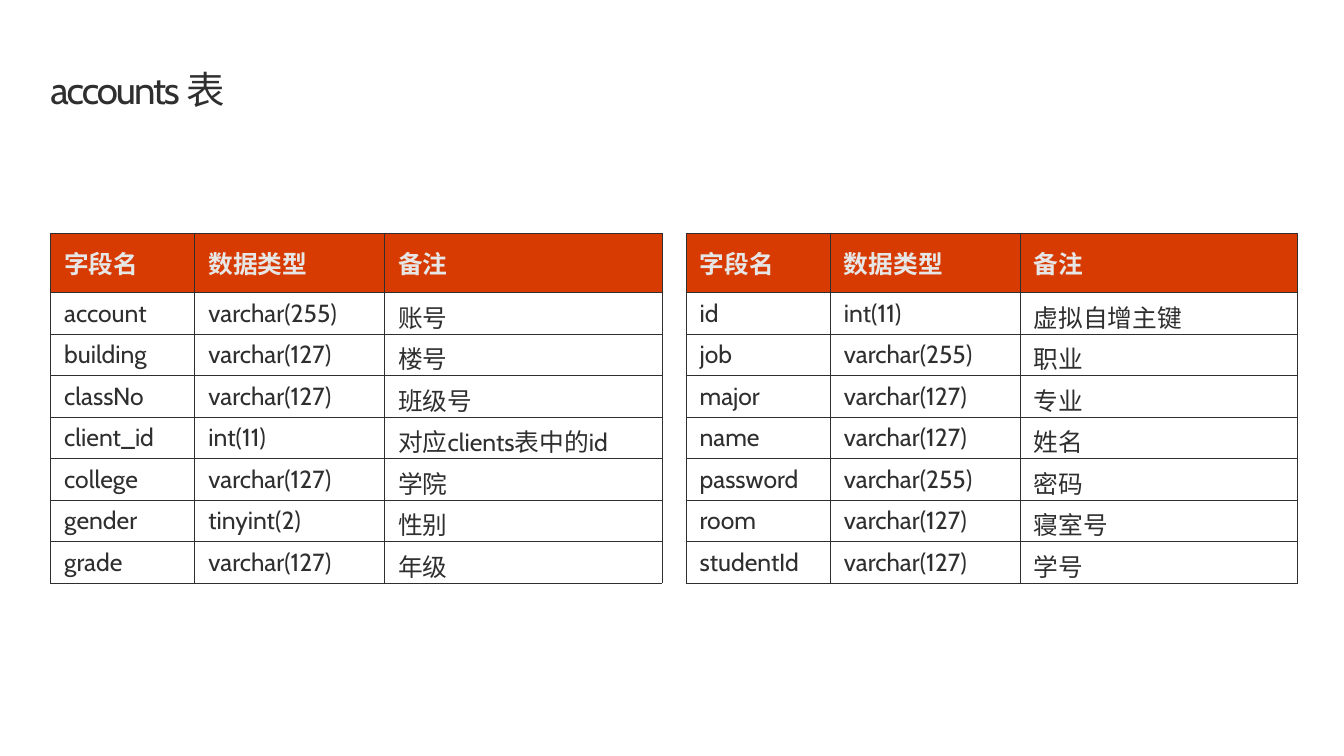
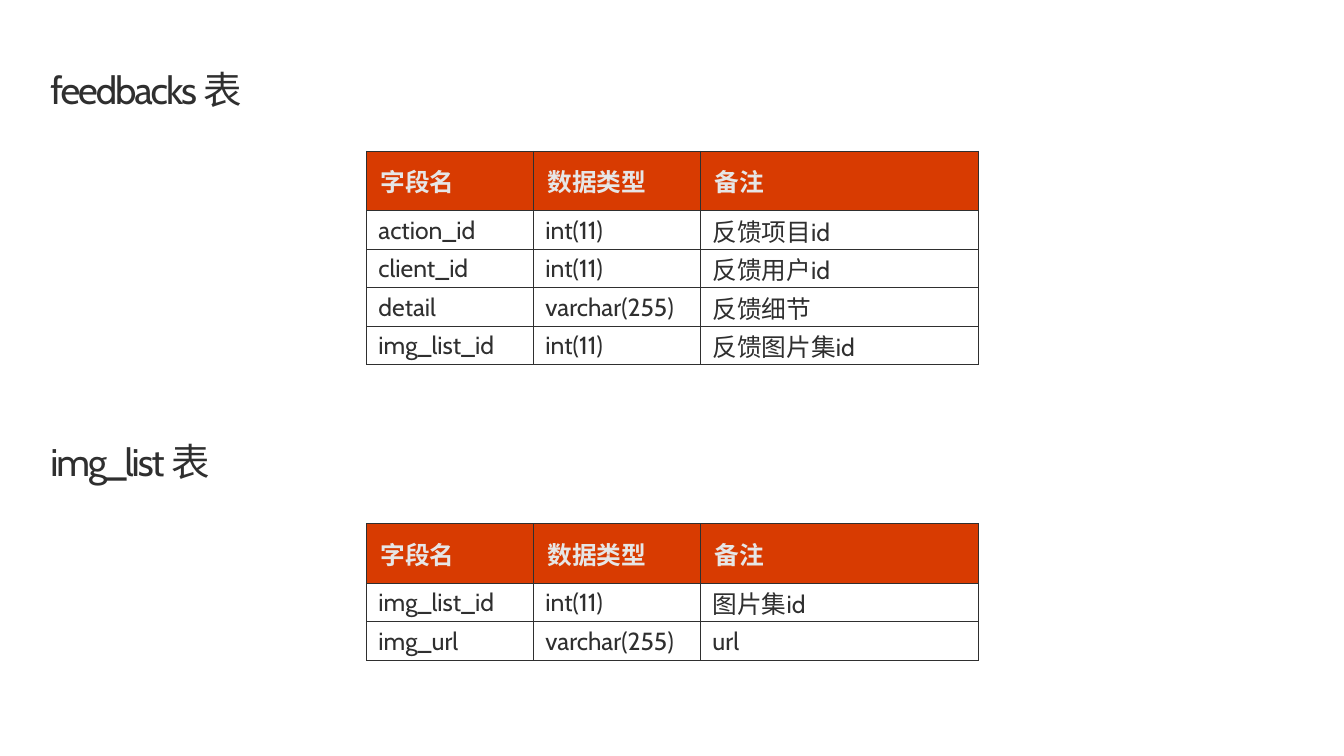
from lxml import etree
from pptx import Presentation
from pptx.dml.color import RGBColor
from pptx.enum.text import MSO_ANCHOR, MSO_AUTO_SIZE
from pptx.oxml.ns import qn
from pptx.util import Pt

PX = 9144  # 100 px to the inch
MIDDLE = MSO_ANCHOR.MIDDLE
GROW = MSO_AUTO_SIZE.SHAPE_TO_FIT_TEXT
INK = RGBColor(0x2F, 0x2F, 0x2F)
PALE = RGBColor(0xE6, 0xE6, 0xE6)
ORANGE = RGBColor(0xD8, 0x3B, 0x01)

HEAD = ("字段名", "数据类型", "备注")
USERS = [
    ("account", "varchar(255)", "账号"),
    ("building", "varchar(127)", "楼号"),
    ("classNo", "varchar(127)", "班级号"),
    ("client_id", "int(11)", "对应clients表中的id"),
    ("college", "varchar(127)", "学院"),
    ("gender", "tinyint(2)", "性别"),
    ("grade", "varchar(127)", "年级"),
]
MORE = [
    ("id", "int(11)", "虚拟自增主键"),
    ("job", "varchar(255)", "职业"),
    ("major", "varchar(127)", "专业"),
    ("name", "varchar(127)", "姓名"),
    ("password", "varchar(255)", "密码"),
    ("room", "varchar(127)", "寝室号"),
    ("studentId", "varchar(127)", "学号"),
]
FEEDBACK = [
    ("action_id", "int(11)", "反馈项目id"),
    ("client_id", "int(11)", "反馈用户id"),
    ("detail", "varchar(255)", "反馈细节"),
    ("img_list_id", "int(11)", "反馈图片集id"),
]
IMAGES = [
    ("img_list_id", "int(11)", "图片集id"),
    ("img_url", "varchar(255)", "url"),
]

WIDE, HIGH = 1360, 765
EDGE, TOP = 51, 69
TITLE_W, TITLE_H = 1261, 45
TABLE_W = 618
HEAD_H, ROW_H = 60, 39
STEP = 377  # from one titled table to the next below it
SIDES = ("left", "top", "right", "bottom")
LOOSE, TIGHT = (14, 6, 14, 6), (12, 1, 1, 0)
PAIR = {"cols": (146, 192, 281), "pad": LOOSE}
STACK = {"cols": (169, 169, 281), "pad": TIGHT}
TITLE_FONT = {"name": "Cabin", "size": Pt(28), "bold": False}
HEAD_FONT = {"name": "Cabin", "size": Pt(18), "bold": True}
BODY_FONT = {**HEAD_FONT, "bold": False}


def write(frame, text, style, color):
    run = frame.paragraphs[0].add_run()
    run.text = text
    for key, value in style.items():
        setattr(run.font, key, value)
    run.font.color.rgb = color
    return run


def pad(target, sizes):
    for side, size in zip(SIDES, sizes):
        setattr(target, f"margin_{side}", size * PX)


def add_title(slide, text, top):
    box = slide.shapes.add_textbox(EDGE * PX, top * PX, TITLE_W * PX, TITLE_H * PX)
    frame = box.text_frame
    frame.word_wrap = True
    frame.auto_size = GROW
    pad(frame, (0, 0, 0, 0))
    frame.paragraphs[0].line_spacing = Pt(32)
    run = write(frame, text, TITLE_FONT, INK)
    run.font._element.set("spc", "-150")


def add_border(cell):
    props = cell._tc.get_or_add_tcPr()
    for tag in ("a:lnL", "a:lnR", "a:lnT", "a:lnB"):
        line = etree.SubElement(props, qn(tag), w=str(Pt(0.5)))
        fill = etree.SubElement(line, qn("a:solidFill"))
        etree.SubElement(fill, qn("a:srgbClr"), val=str(INK))


def add_fields(slide, rows, left, top, cols, pad_body):
    """Draw a field table: an orange head row over plain rows."""
    tall = HEAD_H + ROW_H * len(rows)
    shape = slide.shapes.add_table(len(rows) + 1, len(cols), left * PX, top * PX,
                                   TABLE_W * PX, tall * PX)
    table = shape.table
    table.horz_banding = False
    for col, width in zip(table.columns, cols):
        col.width = width * PX
    for r, texts in enumerate([HEAD, *rows]):
        head = r == 0
        table.rows[r].height = (HEAD_H if head else ROW_H) * PX
        for c, text in enumerate(texts):
            cell = table.cell(r, c)
            cell.vertical_anchor = MIDDLE
            pad(cell, LOOSE if head else pad_body)
            add_border(cell)
            if head:
                cell.fill.solid()
                cell.fill.fore_color.rgb = ORANGE
                write(cell.text_frame, text, HEAD_FONT, PALE)
            else:
                cell.fill.background()
                write(cell.text_frame, text, BODY_FONT, INK)


def main():
    deck = Presentation()
    deck.slide_width, deck.slide_height = WIDE * PX, HIGH * PX
    blank = deck.slide_layouts[6]

    slide = deck.slides.add_slide(blank)
    add_title(slide, "accounts 表", TOP)
    right = EDGE + TITLE_W - TABLE_W
    for rows, left in ((USERS, EDGE), (MORE, right)):
        add_fields(slide, rows, left, 236, PAIR["cols"], PAIR["pad"])

    slide = deck.slides.add_slide(blank)
    center = (WIDE - TABLE_W) // 2
    for i, (name, rows) in enumerate((("feedbacks 表", FEEDBACK), ("img_list 表", IMAGES))):
        add_title(slide, name, TOP + i * STEP)
        add_fields(slide, rows, center, 153 + i * STEP, STACK["cols"], STACK["pad"])

    deck.save("out.pptx")


if __name__ == "__main__":
    main()
